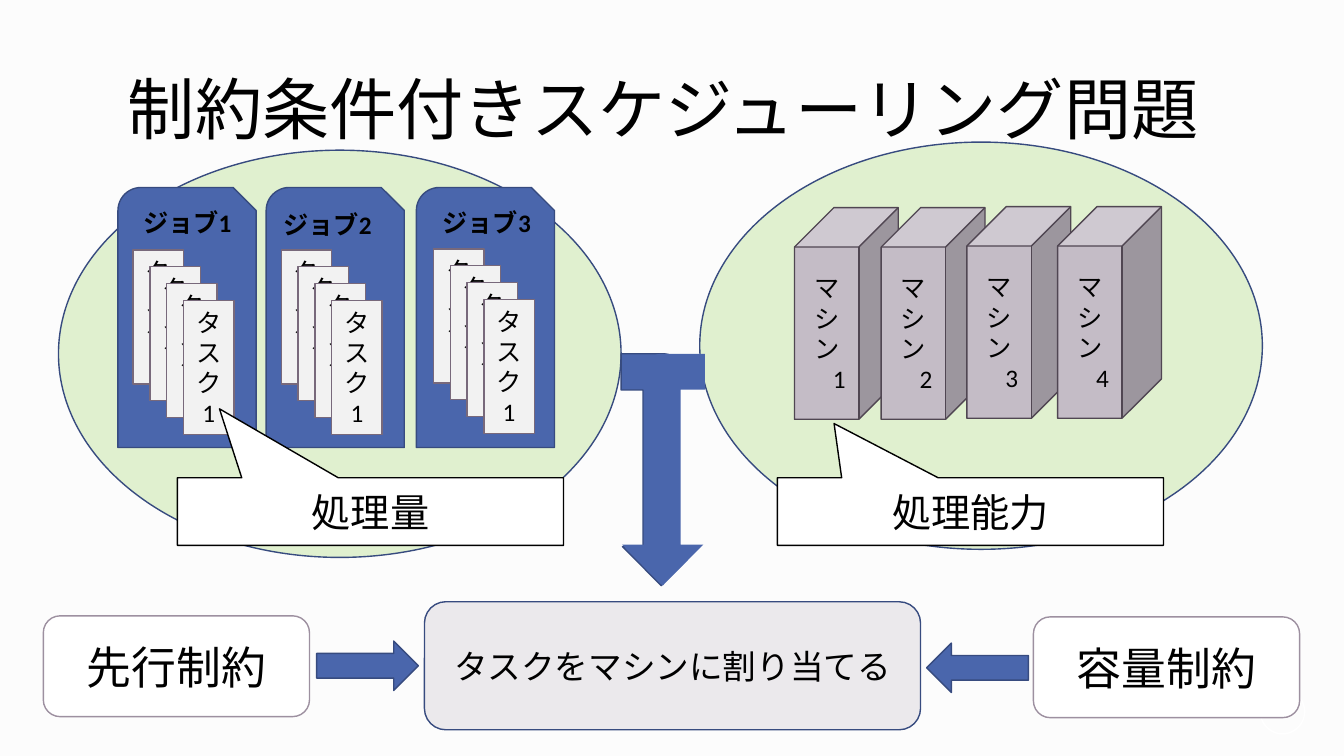
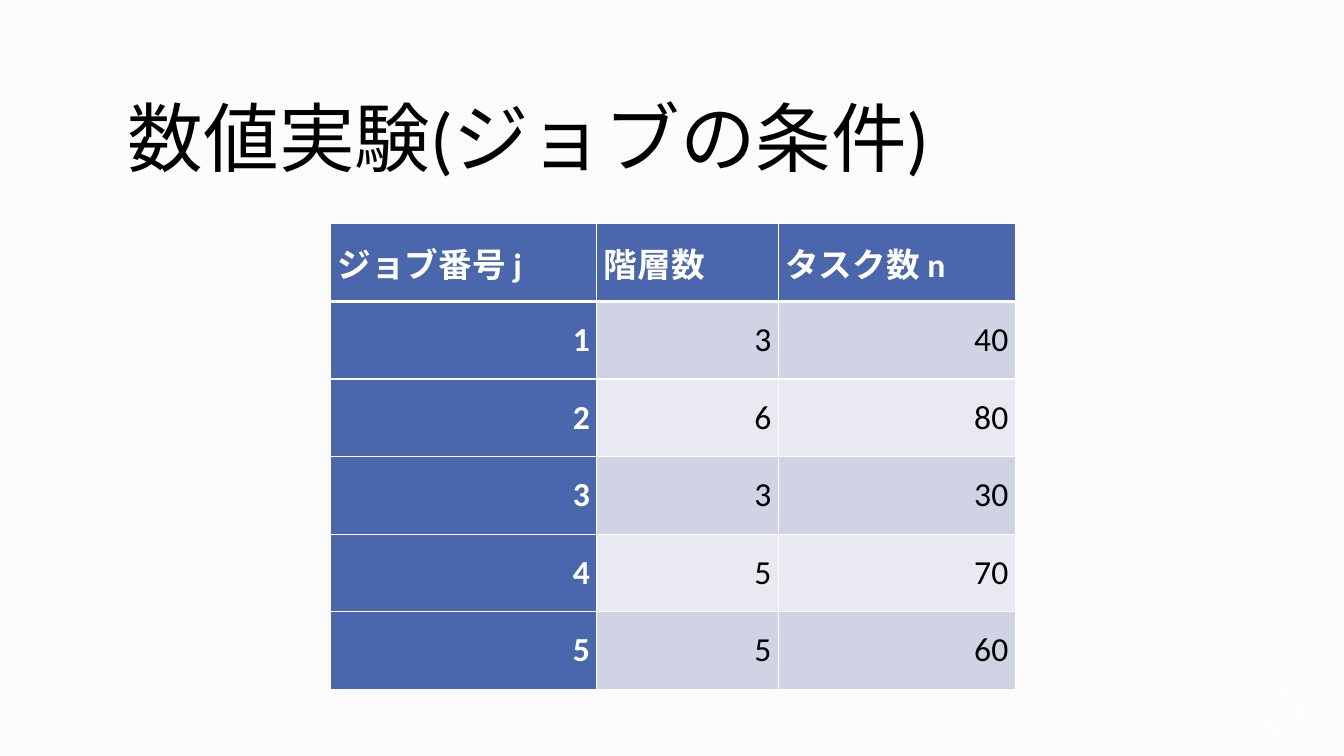
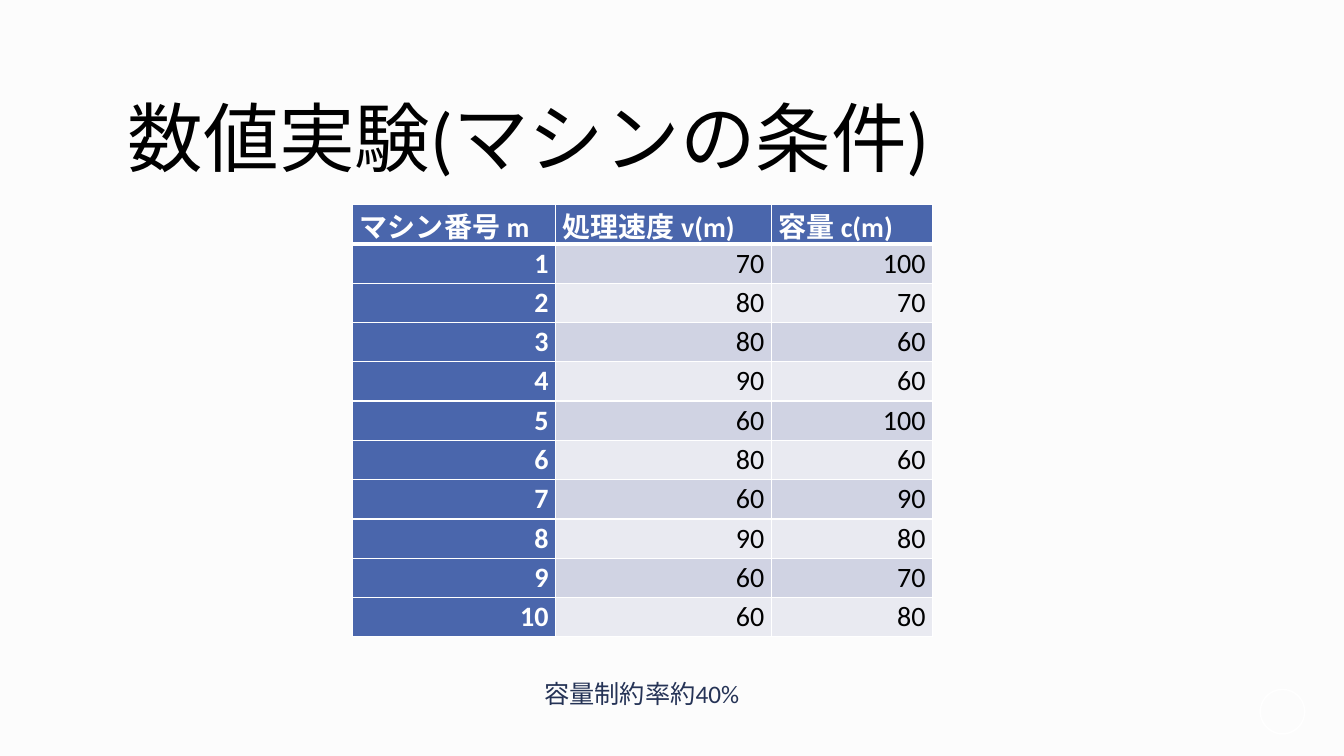
from lxml import etree
from pptx import Presentation
from pptx.dml.color import RGBColor
from pptx.enum.lang import MSO_LANGUAGE_ID
from pptx.enum.shapes import MSO_SHAPE
from pptx.enum.text import MSO_ANCHOR, PP_ALIGN
from pptx.oxml.ns import qn
from pptx.util import Inches, Pt

LEFT, CENTER, RIGHT, JUSTIFY = PP_ALIGN.LEFT, PP_ALIGN.CENTER, PP_ALIGN.RIGHT, PP_ALIGN.JUSTIFY
TOP, MIDDLE = MSO_ANCHOR.TOP, MSO_ANCHOR.MIDDLE
JAPANESE = MSO_LANGUAGE_ID.JAPANESE
OVAL, RECT, ROUNDED = MSO_SHAPE.OVAL, MSO_SHAPE.RECTANGLE, MSO_SHAPE.ROUNDED_RECTANGLE
CARD, CUBE = MSO_SHAPE.SNIP_ROUND_RECTANGLE, MSO_SHAPE.CUBE
CALLOUT = MSO_SHAPE.RECTANGULAR_CALLOUT
ARROW, BENT_ARROW = MSO_SHAPE.RIGHT_ARROW, MSO_SHAPE.BENT_ARROW

FONT = "Calibri"
COLORS = {
    "background": "FCFCFC", "white": "FFFFFF", "black": "000000",
    "blue": "4A66AC", "blue_edge": "374B7F", "navy": "253356",
    "green": "92D050", "goal": "EBE9EC",
    "task": "F2F2F2", "task_edge": "78697B",
    "machine": "C4BCC6", "machine_edge": "504652", "constraint_edge": "9D90A0",
    "band_dark": "D0D3E3", "band_light": "E9EAF1",
}

# Content: scheduling problem
SCHEDULING_TITLE = "制約条件付きスケジューリング問題"
GROUPS = [(6.94, 1.41), (0.58, 1.49)]
GOAL = "タスクをマシンに割り当てる"
# label, card left, label position, first task position
JOBS = [
    ("ジョブ1", 1.17, (1.32, 2.01), (1.32, 2.48)),
    ("ジョブ2", 2.64, (2.71, 2.03), (2.79, 2.48)),
    ("ジョブ3", 4.13, (4.29, 2.01), (4.30, 2.47)),
]
TASK = ["タスク", "1"]
TASKS_PER_JOB, TASK_STEP = 4, 1 / 6
MACHINES = [("マシン　1", 7.88, 2.06), ("マシン　2", 8.74, 2.06),
            ("マシン　3", 9.59, 2.05), ("マシン　4", 10.49, 2.05)]
CALLOUTS = [("処理能力", 7.71, (-0.353, -1.303)), ("処理量", 1.76, (-0.391, -1.521))]
CONSTRAINTS = [("先行制約", 0.43, 6.11), ("容量制約", 10.25, 6.12)]
GOAL_ARROWS = [(3.14, 6.36, 0), (9.19, 6.38, 180)]

# Content: experiment tables
EXPERIMENTS = [
    {
        "title": "数値実験(ジョブの条件)",
        "at": (3.28, 2.22), "columns": (2.64, 1.80, 2.35), "row": 0.77, "size": 24,
        "rows": [("ジョブ番号 j", "階層数", "タスク数 n"),
                 (1, 3, 40), (2, 6, 80), (3, 3, 30), (4, 5, 70), (5, 5, 60)],
    },
    {
        "title": "数値実験(マシンの条件)",
        "at": (3.50, 2.03), "columns": (2.01, 2.14, 1.60), "row": 0.39, "size": 20,
        "rows": [("マシン番号 m", "処理速度 v(m)", "容量 c(m)"),
                 (1, 70, 100), (2, 80, 70), (3, 80, 60), (4, 90, 60), (5, 60, 100),
                 (6, 80, 60), (7, 60, 90), (8, 90, 80), (9, 60, 70), (10, 60, 80)],
        "caption": "容量制約率約40%",
    },
]


def rgb(name):
    return RGBColor.from_string(COLORS[name])


def add_solid_line(parent, tag, points, color):
    line = etree.SubElement(parent, qn(tag), w=str(int(Pt(points))))
    fill = etree.SubElement(line, qn("a:solidFill"))
    etree.SubElement(fill, qn("a:srgbClr"), val=COLORS[color])
    return line


def write(frame, text, size=18, color="black", bold=False, align=CENTER,
          anchor=MIDDLE, spacing=None, outline=None):
    frame.vertical_anchor = anchor
    lines = text if isinstance(text, list) else [text]
    for number, line in enumerate(lines):
        paragraph = frame.add_paragraph() if number else frame.paragraphs[0]
        paragraph.alignment = align
        if spacing:
            paragraph.line_spacing = spacing
        run = paragraph.add_run()
        run.text = line
        font = run.font
        font.name, font.size, font.bold = FONT, Pt(size), bold
        font.language_id = JAPANESE
        font.color.rgb = rgb(color)
        if outline:
            properties = run._r.get_or_add_rPr()
            properties.insert(0, add_solid_line(properties, "a:ln", 0.75, outline))


def add_shape(slide, kind, box, fill=None, edge=None, adjust=(), rotation=0,
              opacity=None, flip=False, text=None, **text_format):
    shape = slide.shapes.add_shape(kind, *map(Inches, box))
    shape.shadow.inherit = False
    shape.rotation = rotation
    for index, value in enumerate(adjust):
        shape.adjustments[index] = value
    if fill:
        shape.fill.solid()
        shape.fill.fore_color.rgb = rgb(fill)
    else:
        shape.fill.background()
    if opacity:
        color = shape._element.spPr.find(qn("a:solidFill"))[0]
        etree.SubElement(color, qn("a:alpha"), val=str(opacity * 1000))
    if edge:
        shape.line.color.rgb = rgb(edge)
        shape.line.width = Pt(1)
    else:
        shape.line.fill.background()
    if flip:
        shape._element.spPr.find(qn("a:xfrm")).set("flipV", "1")
    if text:
        write(shape.text_frame, text, **text_format)


def add_text(slide, box, text, wrap=True, **text_format):
    frame = slide.shapes.add_textbox(*map(Inches, box)).text_frame
    frame.word_wrap = wrap
    write(frame, text, **text_format)


def new_slide(prs):
    slide = prs.slides.add_slide(prs.slide_layouts[6])
    slide.background.fill.solid()
    slide.background.fill.fore_color.rgb = rgb("background")
    # Corner ring
    add_shape(slide, OVAL, (12.5, 6.84, 0.44, 0.44), edge="white")
    return slide


def add_title(slide, text, top=0.53, size=54):
    add_text(slide, (1.17, top, 11, 1.76), text, size=size, align=LEFT, spacing=0.9)


def add_job(slide, label, card_left, label_at, stack_at):
    add_shape(slide, CARD, (card_left, 1.86, 1.37, 2.58), "blue", "blue_edge")
    for number in range(TASKS_PER_JOB):
        left, top = (start + number * TASK_STEP for start in stack_at)
        add_shape(slide, RECT, (left, top, 0.5, 1.33), "task", "task_edge", text=TASK)
    add_text(slide, (*label_at, 1.22, 0.4), label, bold=True, align=LEFT,
             anchor=TOP, outline="white")


def build_scheduling(prs):
    slide = new_slide(prs)
    for left, top in GROUPS:
        add_shape(slide, OVAL, (left, top, 5.58, 4.04), "green", "blue_edge", opacity=26)
    add_title(slide, SCHEDULING_TITLE, top=0.24, size=48)
    add_shape(slide, ROUNDED, (4.21, 5.97, 4.92, 1.27), "goal", "blue_edge",
              text=GOAL, size=24)
    for job in JOBS:
        add_job(slide, *job)
    for label, left, top in MACHINES:
        add_shape(slide, CUBE, (left, top, 1.03, 2.1), "machine", "machine_edge",
                  adjust=[0.38], text=label)
    for label, left, pointer in CALLOUTS:
        add_shape(slide, CALLOUT, (left, 4.74, 3.83, 0.67), "white", "black",
                  adjust=pointer, text=label, size=28)
    for label, left, top in CONSTRAINTS:
        add_shape(slide, ROUNDED, (left, top, 2.64, 1), "white", "constraint_edge",
                  text=label, size=32)
    for left, top, rotation in GOAL_ARROWS:
        add_shape(slide, ARROW, (left, top, 1.01, 0.49), "blue", "blue_edge",
                  rotation=rotation)
    # Two bent arrows merge into one arrow down to the goal
    head = (0.491, 0.496, 0.197)
    add_shape(slide, BENT_ARROW, (5.4, 4.27, 2.3, 0.78), "blue", "blue_edge",
              adjust=(0.461, *head), rotation=90)
    add_shape(slide, BENT_ARROW, (5.43, 4.25, 2.3, 0.82), "blue",
              adjust=(0.434, *head), rotation=90, flip=True)


def format_cell(cell, value, row, column, size):
    header, key = row == 0, row == 0 or column == 0
    cell.margin_left = cell.margin_right = Inches(0.07)
    cell.margin_top = cell.margin_bottom = 0
    cell.vertical_anchor = MIDDLE
    # The rule under the header is thicker
    widths = {"L": 1, "R": 1, "T": 3 if row == 1 else 1, "B": 3 if header else 1}
    for side, points in widths.items():
        add_solid_line(cell._tc.get_or_add_tcPr(), f"a:ln{side}", points, "white")
    band = "band_dark" if row % 2 else "band_light"
    cell.fill.solid()
    cell.fill.fore_color.rgb = rgb("blue" if key else band)
    write(cell.text_frame, str(value), size=size, bold=key,
          color="white" if key else "black", align=JUSTIFY if header else RIGHT,
          anchor=None)


def build_experiment(prs, experiment):
    slide = new_slide(prs)
    add_title(slide, experiment["title"])
    rows, columns = experiment["rows"], experiment["columns"]
    size = sum(columns), experiment["row"] * len(rows)
    table = slide.shapes.add_table(len(rows), len(columns),
                                   *map(Inches, (*experiment["at"], *size))).table
    for column, width in zip(table.columns, columns):
        column.width = Inches(width)
    for r, values in enumerate(rows):
        for c, value in enumerate(values):
            format_cell(table.cell(r, c), value, r, c, experiment["size"])
    if "caption" in experiment:
        add_text(slide, (5.25, 6.68, 2.23, 0.4), experiment["caption"], wrap=False,
                 color="navy", anchor=TOP)


def main():
    prs = Presentation()
    prs.slide_width, prs.slide_height = Inches(13.33), Inches(7.5)
    build_scheduling(prs)
    for experiment in EXPERIMENTS:
        build_experiment(prs, experiment)
    prs.save("out.pptx")


if __name__ == "__main__":
    main()
